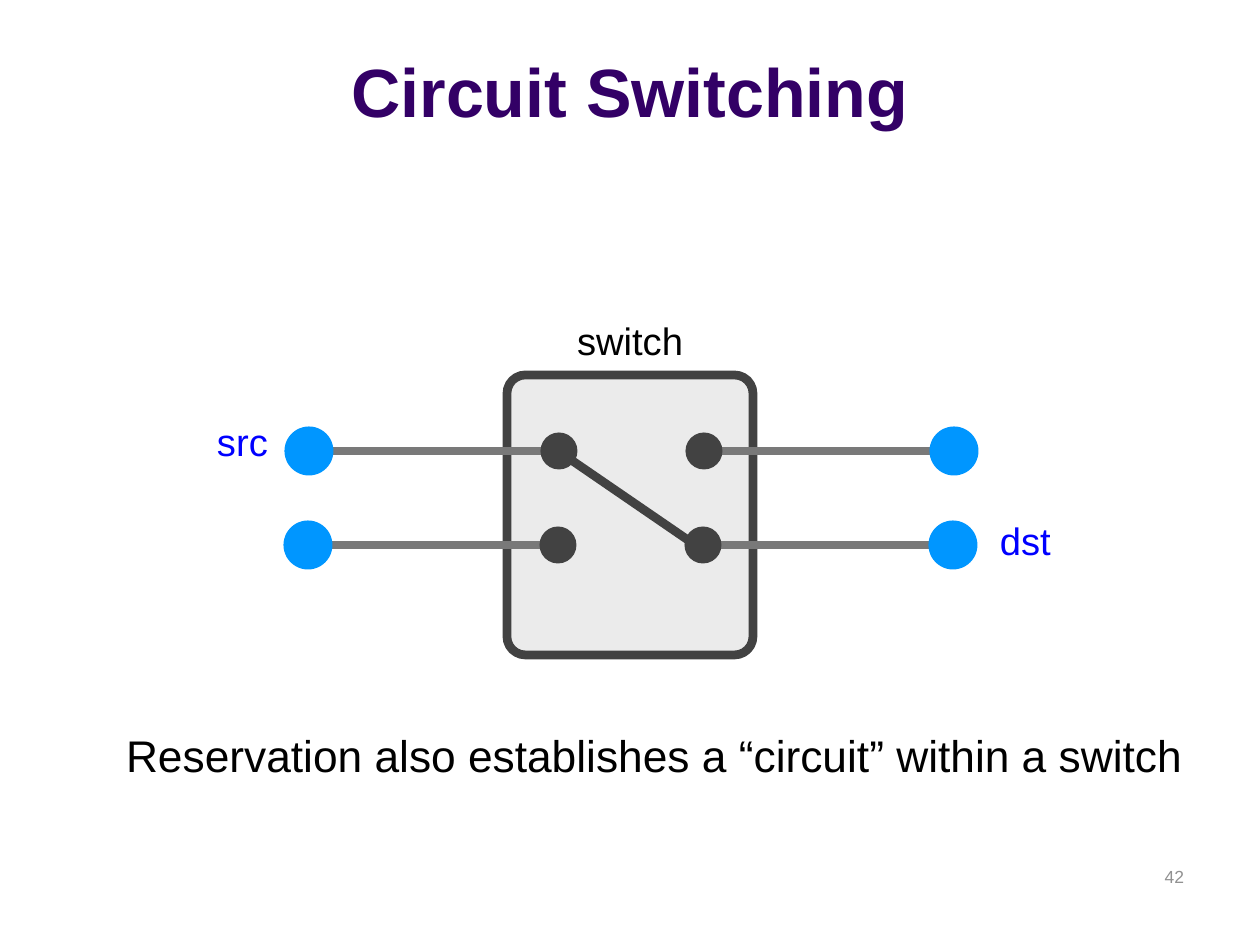
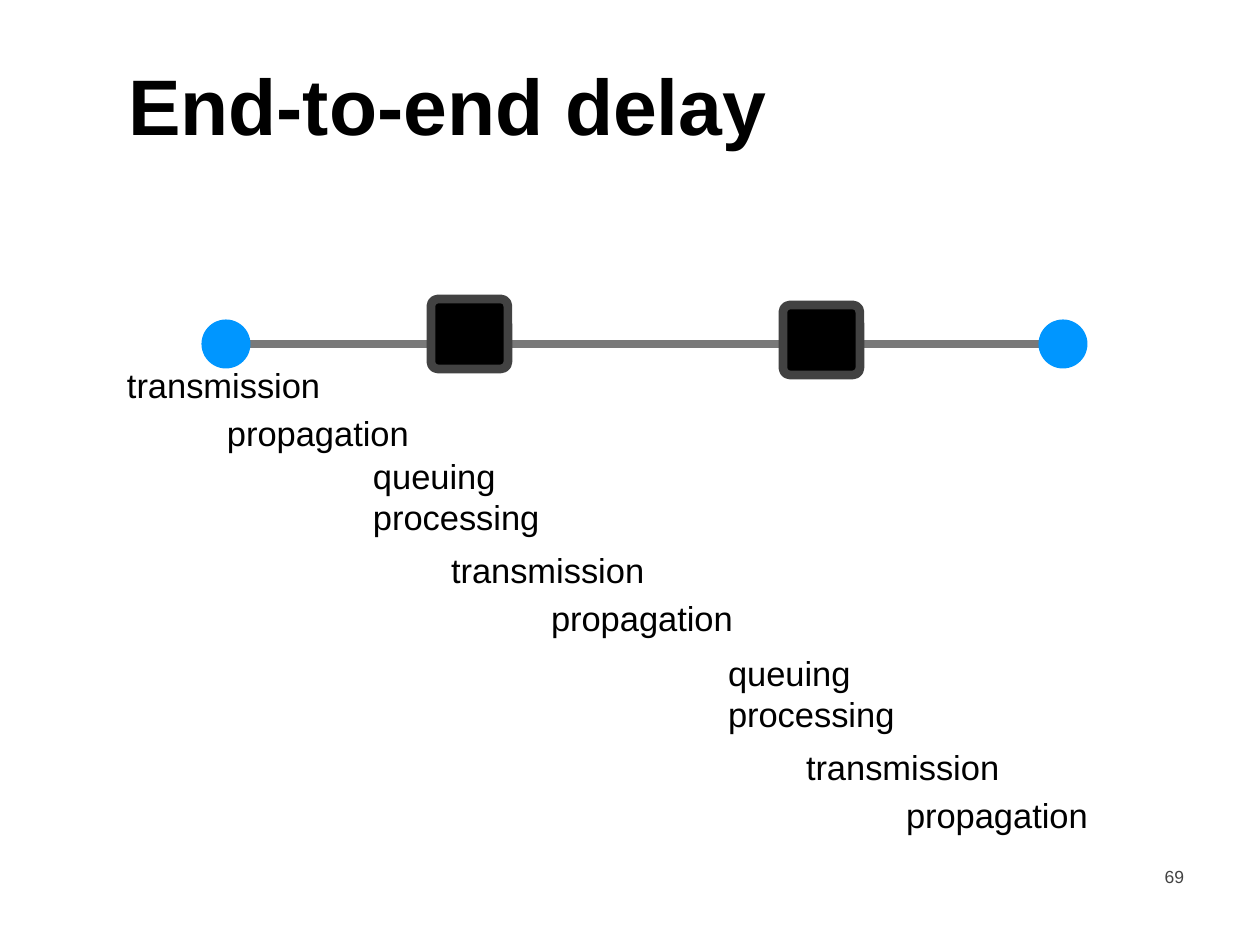
import pptx
import pptx.dml.color
import pptx.enum.shapes
import pptx.enum.text
import pptx.oxml.ns
import pptx.util
from lxml import etree

PX_PER_INCH = 126
FONT = "Arial"

BLACK = "000000"
PURPLE = "330066"
BLUE = "0000FF"
HOST_BLUE = "0096FF"
LINK_GREY = "797979"
DARK_GREY = "424242"
SWITCH_GREY = "EBEBEB"

STROKE = 5
HOST_SIZE = 49
CONTACT_SIZE = 37

SHAPES = pptx.enum.shapes.MSO_SHAPE
ALIGN = pptx.enum.text.PP_ALIGN
ANCHOR = pptx.enum.text.MSO_ANCHOR


def px(length):
    return pptx.util.Emu(round(length * 914400 / PX_PER_INCH))


def color(hex_string):
    return pptx.dml.color.RGBColor.from_string(hex_string)


# Element builders
def add_text(slide, text, left, top, width, height, size=20, ink=BLACK,
             bold=False, align=ALIGN.LEFT, anchor=ANCHOR.MIDDLE,
             inset=5, wrap=True):
    box = slide.shapes.add_textbox(px(left), px(top), px(width), px(height))
    frame = box.text_frame
    frame.word_wrap = wrap
    frame.vertical_anchor = anchor
    frame.margin_left = frame.margin_right = px(inset)
    frame.margin_top = frame.margin_bottom = px(5)
    paragraph = frame.paragraphs[0]
    paragraph.text = text
    paragraph.alignment = align
    paragraph.font.name = FONT
    paragraph.font.size = pptx.util.Pt(size)
    paragraph.font.bold = bold
    paragraph.font.color.rgb = color(ink)


def add_page_number(slide, number, ink):
    add_text(slide, number, 903, 861, 294, 63, size=10, ink=ink,
             align=ALIGN.RIGHT, anchor=ANCHOR.TOP, inset=13)


def add_link(slide, start, end, ink=LINK_GREY):
    link = slide.shapes.add_connector(
        pptx.enum.shapes.MSO_CONNECTOR.STRAIGHT, *map(px, start + end))
    link.line.color.rgb = color(ink)
    link.line.width = pptx.util.Pt(STROKE)
    properties = link._element.spPr
    etree.SubElement(properties, pptx.oxml.ns.qn("a:effectLst"))


def add_dot(slide, x, y, size, fill):
    dot = slide.shapes.add_shape(SHAPES.OVAL, px(x - size / 2),
                                 px(y - size / 2), px(size), px(size))
    dot.shadow.inherit = False
    dot.fill.solid()
    dot.fill.fore_color.rgb = color(fill)
    dot.line.fill.background()


def add_switch(slide, left, top, width, height, fill, rounding):
    switch = slide.shapes.add_shape(SHAPES.ROUNDED_RECTANGLE, px(left),
                                    px(top), px(width), px(height))
    switch.adjustments[0] = rounding
    switch.shadow.inherit = False
    switch.fill.solid()
    switch.fill.fore_color.rgb = color(fill)
    switch.line.color.rgb = color(DARK_GREY)
    switch.line.width = pptx.util.Pt(STROKE)


# Slides
def build_circuit_slide(slide):
    add_text(slide, "Circuit Switching", 0, 16, 1260, 120, size=39,
             ink=PURPLE, bold=True, align=ALIGN.CENTER,
             anchor=ANCHOR.BOTTOM, inset=13)
    add_page_number(slide, "42", "919191")

    # Switch with its inner circuit
    add_switch(slide, 507, 375, 246, 280, SWITCH_GREY, 0.075)
    add_link(slide, (564, 455), (704, 551), DARK_GREY)

    # Each row joins a host to a contact on either side of the switch
    for row_x, row_y in ((309, 451), (308, 545)):
        for host, contact in ((row_x, row_x + 250),
                              (row_x + 645, row_x + 395)):
            side = 1 if host < contact else -1
            add_link(slide, (host + 6 * side, row_y),
                     (contact - 13 * side, row_y))
            add_dot(slide, host, row_y, HOST_SIZE, HOST_BLUE)
            add_dot(slide, contact, row_y, CONTACT_SIZE, DARK_GREY)

    # Labels
    for label, left, top, width, ink in (("switch", 572, 312, 117, BLACK),
                                         ("src", 212, 413, 62, BLUE),
                                         ("dst", 995, 512, 62, BLUE)):
        add_text(slide, label, left, top, width, 57, size=21.8, ink=ink,
                 wrap=False)
    add_text(slide, "Reservation also establishes a “circuit” within a switch",
             121, 723, 1076, 63, size=25.3, wrap=False)


def build_delay_slide(slide):
    add_text(slide, "End-to-end delay", 123, -14, 1014, 237, size=45,
             bold=True)
    add_page_number(slide, "69", DARK_GREY)

    # Path from host to host through two switches
    path_y = 344
    add_link(slide, (233, path_y), (1052, path_y))
    for host_x in (226, 1063):
        add_dot(slide, host_x, path_y, HOST_SIZE, HOST_BLUE)
    for left, top in ((431, 299), (783, 305)):
        add_switch(slide, left, top, 77, 70, BLACK, 0.1)

    # Delays of each hop, placed relative to its transmission label
    sending = (("transmission", 0, 0), ("propagation", 100, 48))
    waiting = (("queuing", -78, -94), ("processing", -78, -53))
    for hop_x, hop_y, delays in ((122, 359, sending),
                                 (446, 544, waiting + sending),
                                 (801, 741, waiting + sending)):
        for delay, dx, dy in delays:
            add_text(slide, delay, hop_x + dx, hop_y + dy, 210, 52, size=19.7)


def main():
    deck = pptx.Presentation()
    deck.slide_width, deck.slide_height = px(1260), px(945)
    blank = deck.slide_layouts[6]
    for build in (build_circuit_slide, build_delay_slide):
        build(deck.slides.add_slide(blank))
    deck.save("out.pptx")


if __name__ == "__main__":
    main()
